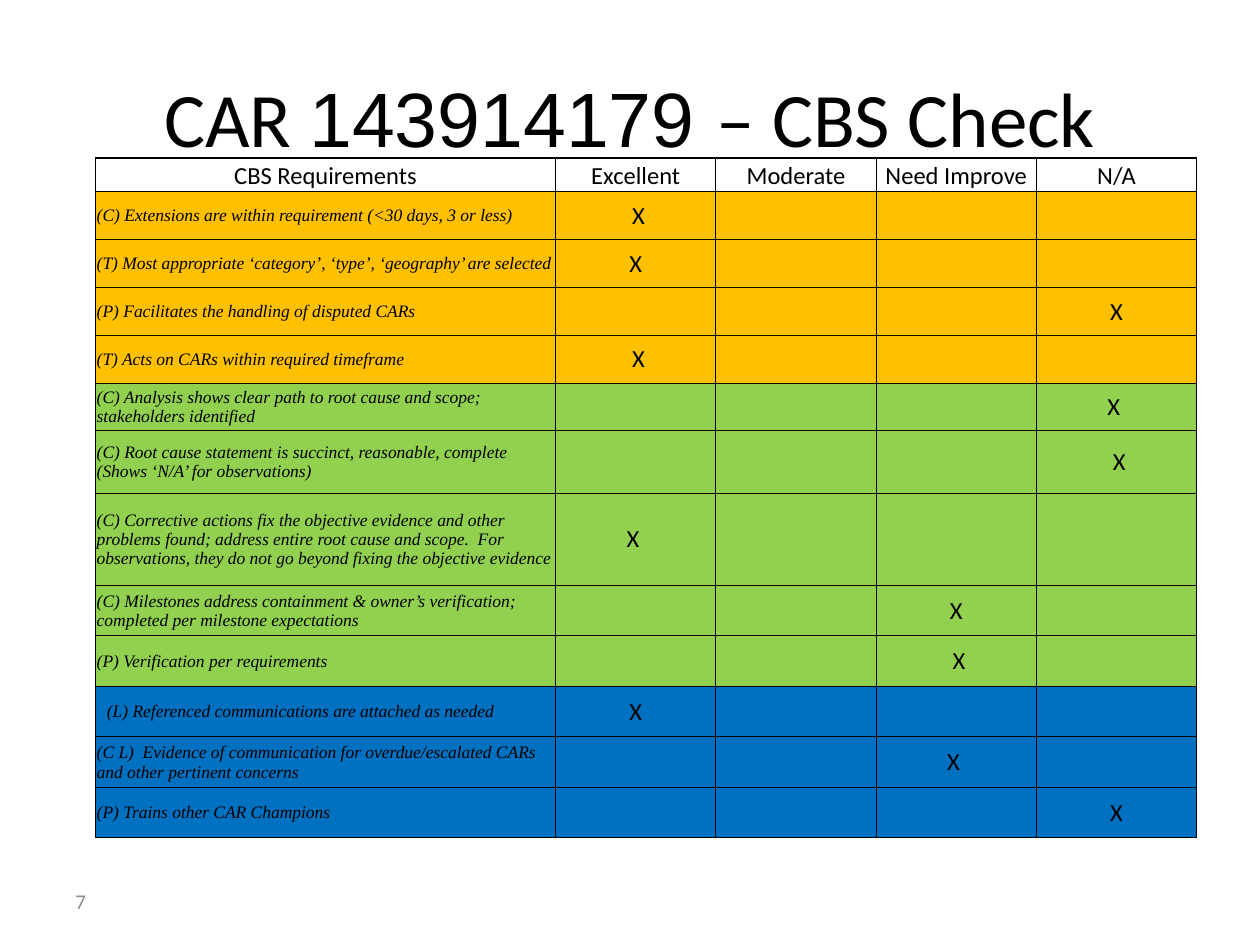
from lxml.etree import SubElement
from pptx import Presentation
from pptx.dml.color import RGBColor
from pptx.enum.text import MSO_ANCHOR, PP_ALIGN
from pptx.oxml.ns import qn
from pptx.util import Pt

BLACK, GREY = "000000", "8C8C8C"
ORANGE, GREEN, BLUE = "FFC000", "92D050", "0070C0"

HEADERS = ["CBS Requirements", "Excellent", "Moderate", "Need Improve", "N/A"]
EXCELLENT, IMPROVE, NOT_APPLICABLE = 1, 3, 4
COLUMN_WIDTHS = [262.9] + [91.6] * 4
HEADER_HEIGHT = 18.9

# Fill, row height, requirement, marked column, mark
REQUIREMENTS = [
    (ORANGE, 27.4, "(C) Extensions are within requirement (<30 days, 3 or less)", EXCELLENT, " X"),
    (ORANGE, 27.4, "(T) Most appropriate ‘category’, ‘type’, ‘geography’ are selected", EXCELLENT, "X"),
    (ORANGE, 27.4, "(P) Facilitates the handling of disputed CARs", NOT_APPLICABLE, "X"),
    (ORANGE, 27.4, "(T) Acts on CARs within required timeframe", EXCELLENT, " X"),
    (GREEN, 26.9, "(C) Analysis shows clear path to root cause and scope; "
     "stakeholders identified", NOT_APPLICABLE, "X "),
    (GREEN, 36, "(C) Root cause statement is succinct, reasonable, complete "
     "(Shows ‘N/A’ for observations)", NOT_APPLICABLE, " X"),
    (GREEN, 52.6, "(C) Corrective actions fix the objective evidence and other problems found; "
     "address entire root cause and scope.  For observations, they do not go beyond "
     "fixing the objective evidence", EXCELLENT, "X "),
    (GREEN, 28.9, "(C) Milestones address containment & owner’s verification; "
     "completed per milestone expectations", IMPROVE, "X"),
    (GREEN, 28.9, "(P) Verification per requirements", IMPROVE, " X"),
    (BLUE, 28.9, "(L) Referenced communications are attached as needed", EXCELLENT, "X"),
    (BLUE, 28.9, "(C L)  Evidence of communication for overdue/escalated CARs "
     "and other pertinent concerns", IMPROVE, "X "),
    (BLUE, 28.9, "(P) Trains other CAR Champions", NOT_APPLICABLE, "X"),
]


def color(value):
    return RGBColor.from_string(value)


def add_run(paragraph, text, size, font="Calibri", fill=BLACK, italic=False):
    run = paragraph.add_run()
    run.text = text
    run.font.size = Pt(size)
    run.font.name = font
    run.font.bold = False
    run.font.italic = italic
    run.font.color.rgb = color(fill)


def add_text(slide, left, top, width, height, runs, align=PP_ALIGN.LEFT):
    shape = slide.shapes.add_textbox(Pt(left), Pt(top), Pt(width), Pt(height))
    frame = shape.text_frame
    frame.word_wrap = True
    frame.vertical_anchor = MSO_ANCHOR.MIDDLE
    paragraph = frame.paragraphs[0]
    paragraph.alignment = align
    for run in runs:
        add_run(paragraph, *run)


def set_borders(cell, widths):
    properties = cell._tc.get_or_add_tcPr()
    for side, width in widths.items():
        line = SubElement(properties, qn(f"a:ln{side}"), w=str(Pt(width)))
        fill = SubElement(line, qn("a:solidFill"))
        SubElement(fill, qn("a:srgbClr"), val=BLACK)


def format_cell(cell, fill, borders, anchor=MSO_ANCHOR.MIDDLE, left_margin=0.7):
    set_borders(cell, borders)
    if fill:
        cell.fill.solid()
        cell.fill.fore_color.rgb = color(fill)
    else:
        cell.fill.background()
    cell.margin_left = Pt(left_margin)
    cell.margin_top = cell.margin_right = Pt(0.7)
    cell.margin_bottom = Pt(0)
    cell.vertical_anchor = anchor


def write_cell(cell, text, size, align=PP_ALIGN.CENTER, **style):
    paragraph = cell.text_frame.paragraphs[0]
    paragraph.alignment = align
    add_run(paragraph, text, size, **style)


def add_requirements_table(slide):
    heights = [HEADER_HEIGHT] + [row[1] for row in REQUIREMENTS]
    last_row, last_column = len(heights) - 1, len(HEADERS) - 1
    table = slide.shapes.add_table(
        len(heights), len(HEADERS), Pt(54.6), Pt(90.4),
        Pt(sum(COLUMN_WIDTHS)), Pt(sum(heights))).table
    table.first_row = table.horz_banding = False
    for column, width in zip(table.columns, COLUMN_WIDTHS):
        column.width = Pt(width)
    for row, height in zip(table.rows, heights):
        row.height = Pt(height)

    # Fills, margins and a heavier outer border
    for r in range(last_row + 1):
        for c in range(last_column + 1):
            borders = {"L": 1 if c == 0 else 0.5, "R": 1 if c == last_column else 0.5,
                       "T": 1 if r == 0 else 0.5, "B": 1 if r == last_row else 0.5}
            fill = REQUIREMENTS[r - 1][0] if r else None
            anchor = MSO_ANCHOR.MIDDLE if r else MSO_ANCHOR.BOTTOM
            indented = r and c == 0 and REQUIREMENTS[r - 1][2].startswith("(L)")
            format_cell(table.cell(r, c), fill, borders, anchor, 6.5 if indented else 0.7)

    # Header, requirements and marks
    for c, header in enumerate(HEADERS):
        write_cell(table.cell(0, c), header, 14)
    for r, (_, _, requirement, marked, mark) in enumerate(REQUIREMENTS, 1):
        write_cell(table.cell(r, 0), requirement, 10, PP_ALIGN.LEFT,
                   font="Times New Roman", italic=True)
        write_cell(table.cell(r, marked), mark, 14)


def main():
    presentation = Presentation()
    presentation.slide_width, presentation.slide_height = Pt(720), Pt(540)
    slide = presentation.slides.add_slide(presentation.slide_layouts[6])

    # Title
    add_text(slide, 36, 21.6, 648, 90,
             [("CAR ", 44), ("143914179 ", 44, "Arial"), ("– CBS Check", 44)],
             PP_ALIGN.CENTER)
    add_requirements_table(slide)

    # Slide number
    add_text(slide, 36, 500.5, 168, 28.75, [("7", 12, "Calibri", GREY)])
    presentation.save("out.pptx")


if __name__ == "__main__":
    main()
